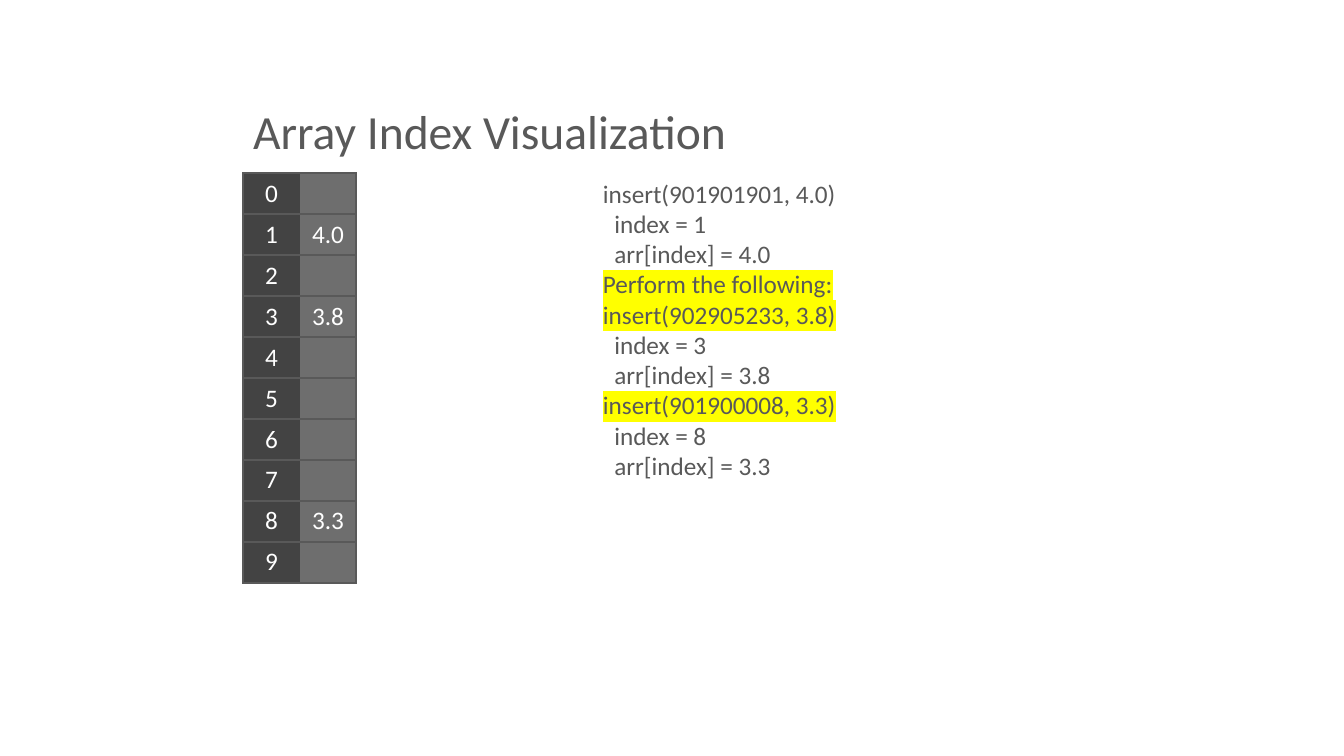
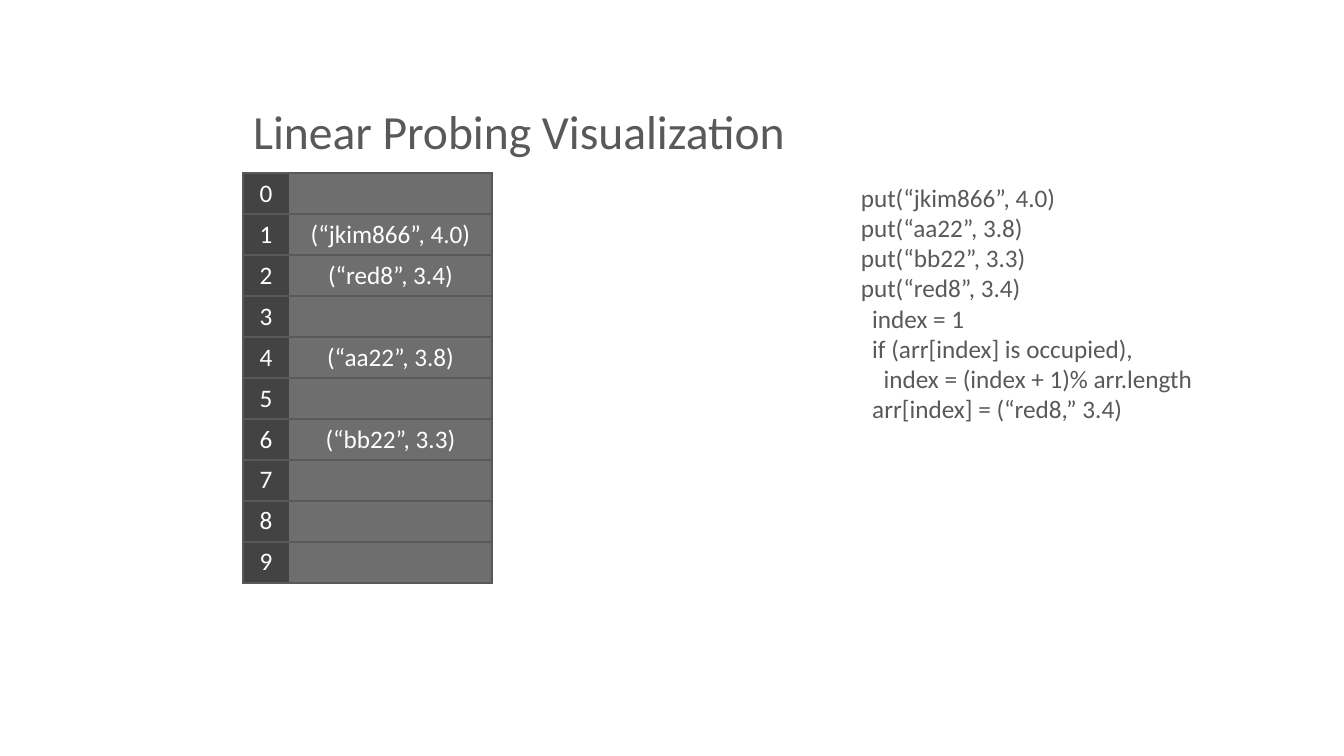
from dataclasses import dataclass

from lxml import etree
from pptx import Presentation
from pptx.dml.color import RGBColor
from pptx.enum.text import MSO_ANCHOR, MSO_AUTO_SIZE, PP_ALIGN
from pptx.oxml.ns import qn
from pptx.slide import Slide
from pptx.table import Table, _Cell as Cell
from pptx.text.text import TextFrame
from pptx.util import Emu, Pt

EMU_PER_PX = 914400 / 100.8
SLIDE_WIDTH, SLIDE_HEIGHT = 1344, 756
TITLE_BOX = (243, 33, 1033, 132)
ARRAY_LEFT, ARRAY_TOP, ROW_HEIGHT = 243, 173, 41
ARRAY_LENGTH = 10

FONT = "Calibri"
GRAY = RGBColor(0x59, 0x59, 0x59)
INDEX_FILL = RGBColor(0x43, 0x43, 0x43)
VALUE_FILL = RGBColor(0x6E, 0x6E, 0x6E)
WHITE = RGBColor(0xFF, 0xFF, 0xFF)
YELLOW = RGBColor(0xFF, 0xFF, 0x00)
NO_STYLE = "{2D5ABB26-0587-4C30-8999-92F81FD0307C}"


@dataclass(frozen=True)
class Visualization:
    title: str
    column_widths: tuple[int, int]
    values: dict[int, str]
    code_box: tuple[int, int, int, int]
    code: tuple[str, ...]
    marked: tuple[int, ...] = ()


VISUALIZATIONS = (
    Visualization(
        title="Array Index Visualization",
        column_widths=(57, 56),
        values={1: "4.0", 3: "3.8", 8: "3.3"},
        code_box=(593, 173, 283, 316),
        code=(
            "insert(901901901, 4.0)",
            "  index = 1",
            "  arr[index] = 4.0",
            "Perform the following:",
            "insert(902905233, 3.8)",
            "  index = 3",
            "  arr[index] = 3.8",
            "insert(901900008, 3.3)",
            "  index = 8",
            "  arr[index] = 3.3",
        ),
        marked=(3, 4, 7),
    ),
    Visualization(
        title="Linear Probing Visualization",
        column_widths=(46, 203),
        values={
            1: "(“jkim866”, 4.0)",
            2: "(“red8”, 3.4)",
            4: "(“aa22”, 3.8)",
            6: "(“bb22”, 3.3)",
        },
        code_box=(851, 177, 427, 254),
        code=(
            "put(“jkim866”, 4.0)",
            "put(“aa22”, 3.8)",
            "put(“bb22”, 3.3)",
            "put(“red8”, 3.4)",
            "  index = 1",
            "  if (arr[index] is occupied),",
            "    index = (index + 1)% arr.length",
            "  arr[index] = (“red8,” 3.4)",
        ),
    ),
)


def px(length: int) -> Emu:
    return Emu(round(length * EMU_PER_PX))


def write(
    frame: TextFrame,
    *lines: str,
    size: int = 18,
    color: RGBColor = GRAY,
    align: PP_ALIGN = PP_ALIGN.LEFT,
    line_spacing: float | None = None,
    marked: tuple[int, ...] = (),
) -> None:
    """Write one paragraph per line, highlighting the lines numbered in marked."""
    for number, line in enumerate(lines):
        paragraph = frame.add_paragraph() if number else frame.paragraphs[0]
        paragraph.alignment = align
        paragraph.line_spacing = line_spacing
        run = paragraph.add_run()
        run.text = line
        run.font.size = Pt(size)
        run.font.name = FONT
        run.font.color.rgb = color
        if number in marked:
            highlight = etree.Element(qn("a:highlight"))
            etree.SubElement(highlight, qn("a:srgbClr"), val=str(YELLOW))
            run.font._element.find(qn("a:solidFill")).addnext(highlight)


def add_borders(cell: Cell, sides: str) -> None:
    """Draw the given sides, named in the order L, R, T, B."""
    properties = cell._tc.get_or_add_tcPr()
    for position, side in enumerate(sides):
        line = etree.Element(qn(f"a:ln{side}"), w=str(Pt(1)))
        fill = etree.SubElement(line, qn("a:solidFill"))
        etree.SubElement(fill, qn("a:srgbClr"), val=str(GRAY))
        properties.insert(position, line)


def fill_cell(cell: Cell, text: str, color: RGBColor, sides: str) -> None:
    cell.fill.solid()
    cell.fill.fore_color.rgb = color
    add_borders(cell, sides)
    if text:
        write(cell.text_frame, text, color=WHITE, align=PP_ALIGN.CENTER)


def add_title(slide: Slide, text: str) -> None:
    title = slide.shapes.title
    title.left, title.top, title.width, title.height = map(px, TITLE_BOX)
    frame = title.text_frame
    frame.auto_size = MSO_AUTO_SIZE.NONE
    frame.vertical_anchor = MSO_ANCHOR.BOTTOM
    write(frame, text, size=34, line_spacing=0.9)


def add_array(slide: Slide, widths: tuple[int, int], values: dict[int, str]) -> None:
    array: Table = slide.shapes.add_table(
        ARRAY_LENGTH, 2, px(ARRAY_LEFT), px(ARRAY_TOP),
        px(sum(widths)), px(ROW_HEIGHT * ARRAY_LENGTH),
    ).table
    array.first_row = array.horz_banding = False
    array._tbl.tblPr.find(qn("a:tableStyleId")).text = NO_STYLE
    for column, width in zip(array.columns, widths):
        column.width = px(width)
    for index in range(ARRAY_LENGTH):
        array.rows[index].height = px(ROW_HEIGHT)
        fill_cell(array.cell(index, 0), str(index), INDEX_FILL, "LTB")
        fill_cell(array.cell(index, 1), values.get(index, ""), VALUE_FILL, "RTB")


def add_code(slide: Slide, visualization: Visualization) -> None:
    frame = slide.shapes.add_textbox(*map(px, visualization.code_box)).text_frame
    frame.word_wrap = False
    frame.auto_size = MSO_AUTO_SIZE.SHAPE_TO_FIT_TEXT
    write(frame, *visualization.code, marked=visualization.marked)


def main() -> None:
    presentation = Presentation()
    presentation.slide_width = px(SLIDE_WIDTH)
    presentation.slide_height = px(SLIDE_HEIGHT)
    title_only = presentation.slide_layouts.get_by_name("Title Only")
    for visualization in VISUALIZATIONS:
        slide = presentation.slides.add_slide(title_only)
        add_title(slide, visualization.title)
        add_array(slide, visualization.column_widths, visualization.values)
        add_code(slide, visualization)
    presentation.save("out.pptx")


if __name__ == "__main__":
    main()
